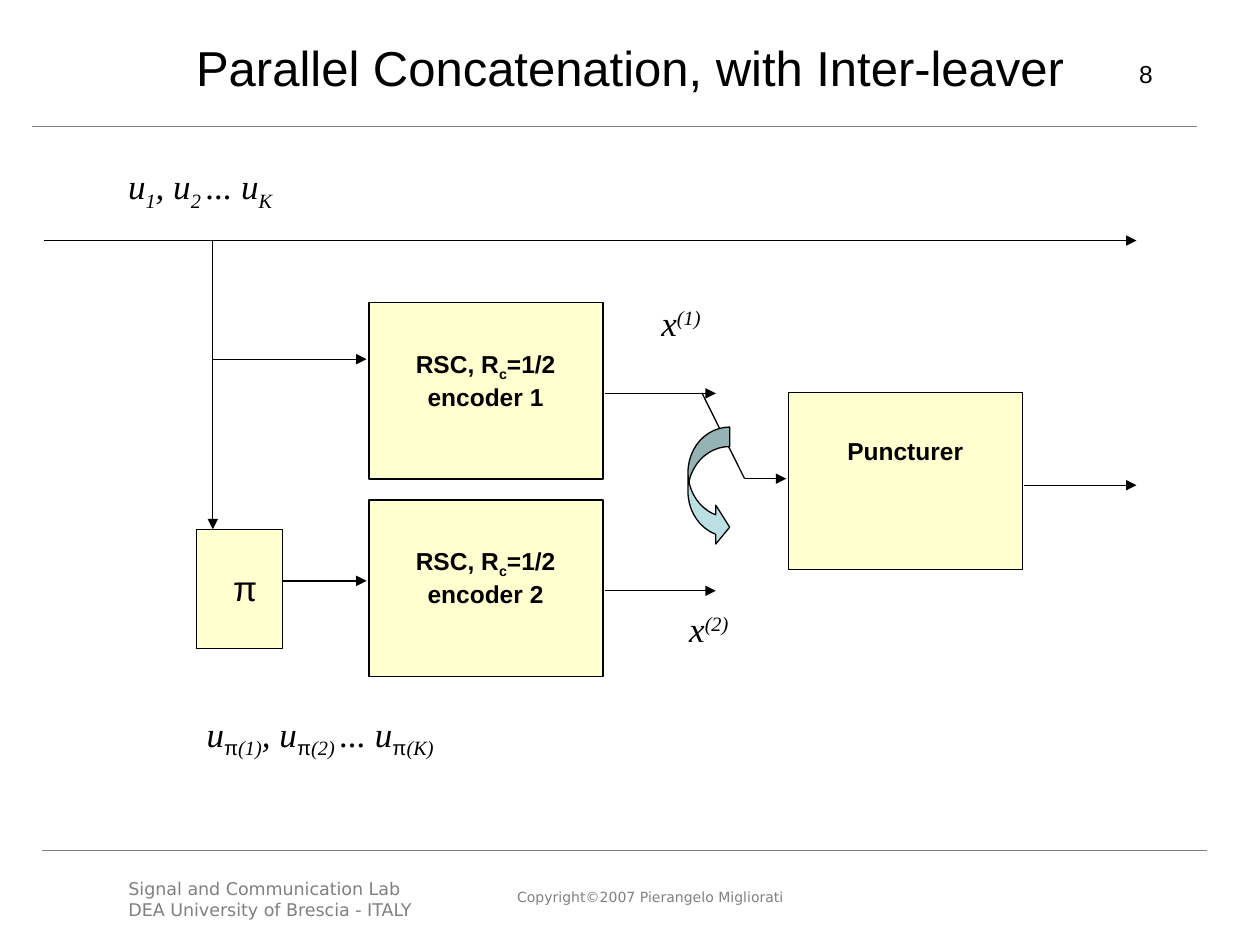
from lxml.etree import SubElement
from pptx import Presentation
from pptx.dml.color import RGBColor
from pptx.enum.shapes import MSO_CONNECTOR as Link, MSO_SHAPE as Shape
from pptx.enum.text import MSO_ANCHOR as Anchor, PP_ALIGN as Align
from pptx.oxml.ns import qn
from pptx.util import Cm, Pt

BLACK = RGBColor(0x00, 0x00, 0x00)
GREY = RGBColor(0x80, 0x80, 0x80)
CREAM = RGBColor(0xFF, 0xFF, 0xD0)
TEAL = RGBColor(0xBB, 0xE0, 0xE3)
BLOCK_WIDTH, BLOCK_HEIGHT = 4.72, 3.56


def style_run(run, size, font, color=BLACK, bold=False, italic=False, shift=0):
    """Format a run, with shift as its baseline offset in percent."""
    run.font.size = Pt(size)
    run.font.name = font
    run.font.color.rgb = color
    run.font.bold = bold
    run.font.italic = italic
    if shift:
        run._r.get_or_add_rPr().set("baseline", str(shift * 1000))


def add_frame(slide, left, top, width, height, inset=True, wrap=True):
    """Add a text box and return its text frame."""
    frame = slide.shapes.add_textbox(Cm(left), Cm(top), Cm(width), Cm(height)).text_frame
    frame.word_wrap = wrap
    frame.vertical_anchor = Anchor.TOP
    if not inset:
        frame.margin_left = frame.margin_right = 0
        frame.margin_top = frame.margin_bottom = 0
    return frame


def add_text(slide, area, text, size, font="Arial", color=BLACK, align=Align.LEFT, before=0):
    """Add plain text, one paragraph per line."""
    frame = add_frame(slide, *area)
    frame.text = text
    for paragraph in frame.paragraphs:
        paragraph.alignment = align
        paragraph.space_before = Pt(before)
        for run in paragraph.runs:
            style_run(run, size, font, color)


def add_line(slide, x1, y1, x2, y2, color=BLACK, width=0.75, arrow=True):
    """Add a straight line, with an arrowhead at its end if wanted."""
    line = slide.shapes.add_connector(Link.STRAIGHT, Cm(x1), Cm(y1), Cm(x2), Cm(y2))
    line.line.color.rgb = color
    line.line.width = Pt(width)
    if arrow:
        SubElement(line.line._get_or_add_ln(), qn("a:tailEnd"), type="triangle")
    SubElement(line._element.spPr, qn("a:effectLst"))


def add_block(slide, left, top, width, height, fill=CREAM, kind=Shape.RECTANGLE):
    """Add a filled, outlined shape and return it."""
    block = slide.shapes.add_shape(kind, Cm(left), Cm(top), Cm(width), Cm(height))
    block.shadow.inherit = False
    block.fill.solid()
    block.fill.fore_color.rgb = fill
    block.line.color.rgb = BLACK
    block.line.width = Pt(0.75)
    return block


def add_label(slide, area, lines, size=14, bold=True, wrap=True, align=Align.CENTER):
    """Add a block label whose lines are lists of (text, shift) parts."""
    frame = add_frame(slide, *area, inset=False, wrap=wrap)
    for number, parts in enumerate(lines):
        paragraph = frame.add_paragraph() if number else frame.paragraphs[0]
        paragraph.alignment = align
        paragraph.line_spacing = 0.9
        paragraph.space_before = Pt(size * 0.23)
        for text, shift in parts:
            run = paragraph.add_run()
            run.text = text
            style_run(run, size, "Arial", bold=bold, shift=shift)


def add_coder(slide, left, top, lines):
    """Add a large block with its label."""
    add_block(slide, left, top, BLOCK_WIDTH, BLOCK_HEIGHT)
    add_label(slide, (left - 0.05, top + 0.94, 4.8, 0.97 * len(lines)), lines)


def add_formula(slide, left, top, width, parts):
    """Add an italic formula from (text, shift) parts, with π upright."""
    frame = add_frame(slide, left, top, width, 1.78, wrap=False)
    paragraph = frame.paragraphs[0]
    paragraph.alignment = Align.CENTER
    for text, shift in parts:
        run = paragraph.add_run()
        run.text = text
        greek = text == "π"
        font = "Arial" if greek else "Times New Roman"
        style_run(run, 20, font, italic=not greek, shift=shift)


def add_page_frame(slide):
    """Add the rules, footer, page number and title."""
    for left, y in ((0.84, 17.14), (0.64, 2.54)):
        add_line(slide, left, y, left + 23.49, y, GREY, 0.25, arrow=False)
    add_text(slide, (2.34, 17.58, 9.09, 1.07),
             "Signal and Communication Lab\nDEA University of Brescia - ITALY",
             10, "DejaVu Sans", GREY)
    add_text(slide, (9.09, 17.78, 8.05, 0.84), "Copyright©2007 Pierangelo Migliorati",
             8, "DejaVu Sans", GREY, Align.CENTER)
    add_text(slide, (22.22, 1.07, 1.27, 1.07), "8", 14, align=Align.RIGHT)
    add_text(slide, (0, 0.64, 25.4, 1.45), "Parallel Concatenation, with Inter-leaver",
             28, align=Align.CENTER, before=4)


def add_encoder_diagram(slide):
    """Add the interleaver, encoders, switch and puncturer."""
    add_block(slide, 3.96, 10.67, 1.73, 2.41)
    add_label(slide, (4.7, 11.51, 0.51, 1.24), [[("π", 0)]], 20, False, False, Align.LEFT)
    for number, top in ((1, 6.1), (2, 10.08)):
        add_coder(slide, 7.44, top, [[("RSC, R", 0), ("c", -25), ("=1/2", 0)],
                                     [(f"encoder {number}", 0)]])
        add_line(slide, 12.19, top + 1.83, 14.43, top + 1.83)
    add_coder(slide, 15.9, 7.92, [[("Puncturer", 0)]])

    arrows = [
        (0.89, 4.85, 22.91, 4.85),
        (4.29, 4.85, 4.29, 10.67),
        (5.69, 11.71, 7.39, 11.71),
        (4.29, 7.24, 7.39, 7.24),
        (20.65, 9.78, 22.91, 9.78),
        (15.01, 9.65, 15.85, 9.65),
    ]
    for ends in arrows:
        add_line(slide, *ends)
    add_line(slide, 14.15, 7.92, 15.01, 9.65, arrow=False)
    turn = add_block(slide, 13.87, 8.61, 0.84, 2.41, TEAL, Shape.CURVED_RIGHT_ARROW)
    for index, value in enumerate((0.467, 0.933, 0.333)):
        turn.adjustments[index] = value


def add_formulas(slide):
    """Add the input, interleaved and output sequences."""
    add_formula(slide, 3, 14.23, 6.91, [
        ("u", 0), ("π", -25), ("(1)", -25), (", u", 0), ("π", -25), ("(2) ", -25),
        ("... u", 0), ("π", -25), ("(K)", -25)])
    add_formula(slide, 1.7, 3.2, 4.67, [
        ("u", 0), ("1", -25), (", u", 0), ("2 ", -25), ("... u", 0), ("K", -25)])
    for number, left, top in ((1, 12.83, 5.95), (2, 13.39, 12.12)):
        add_formula(slide, left, top, 1.8, [("x", 0), (f"({number})", 30)])


def main():
    """Build and save the slide."""
    deck = Presentation()
    deck.slide_width, deck.slide_height = Cm(25.4), Cm(19.05)
    slide = deck.slides.add_slide(deck.slide_layouts[6])
    add_page_frame(slide)
    add_encoder_diagram(slide)
    add_formulas(slide)
    deck.save("out.pptx")


if __name__ == "__main__":
    main()
